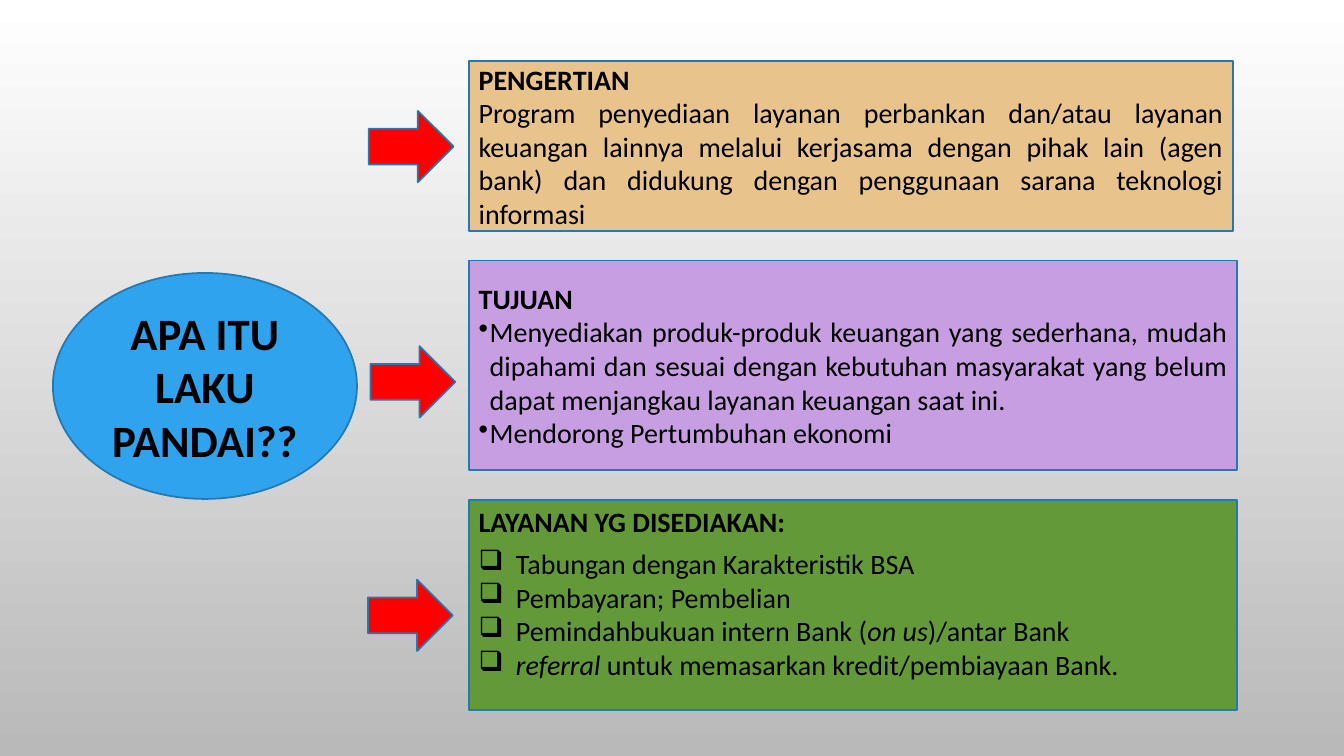
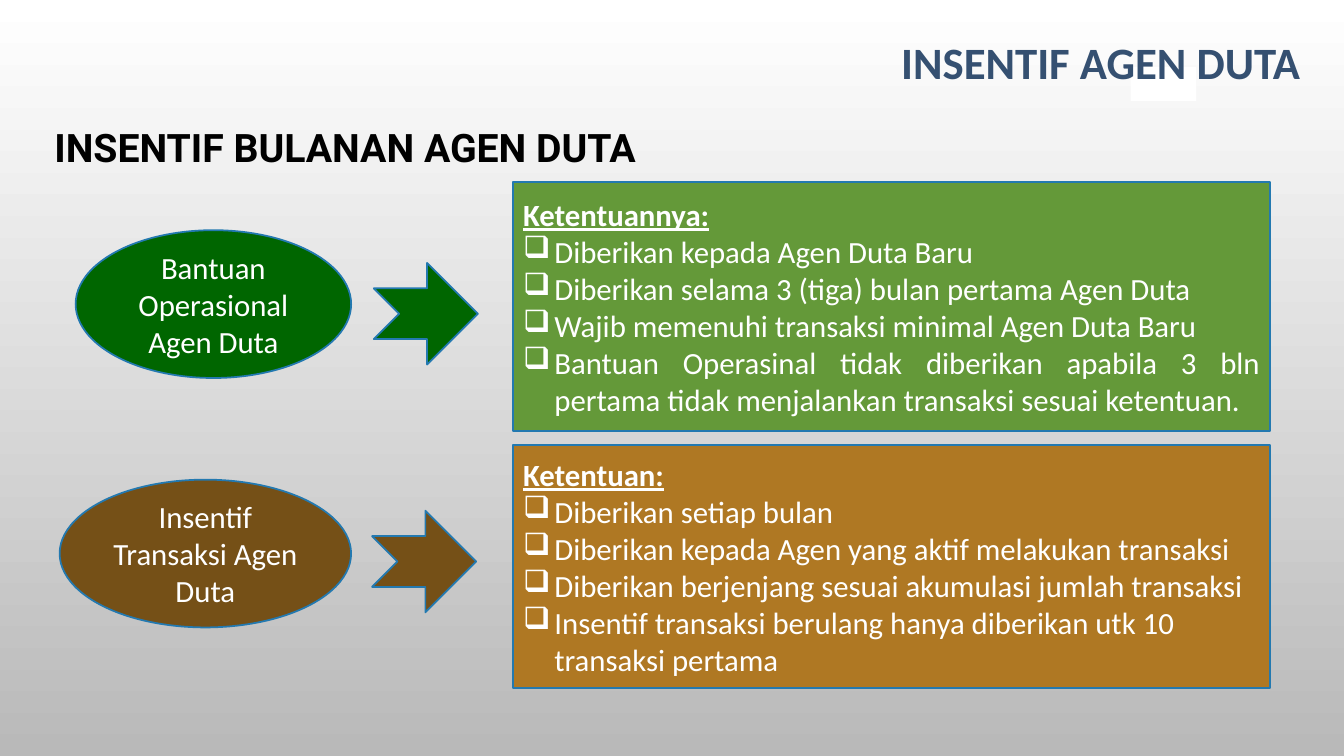
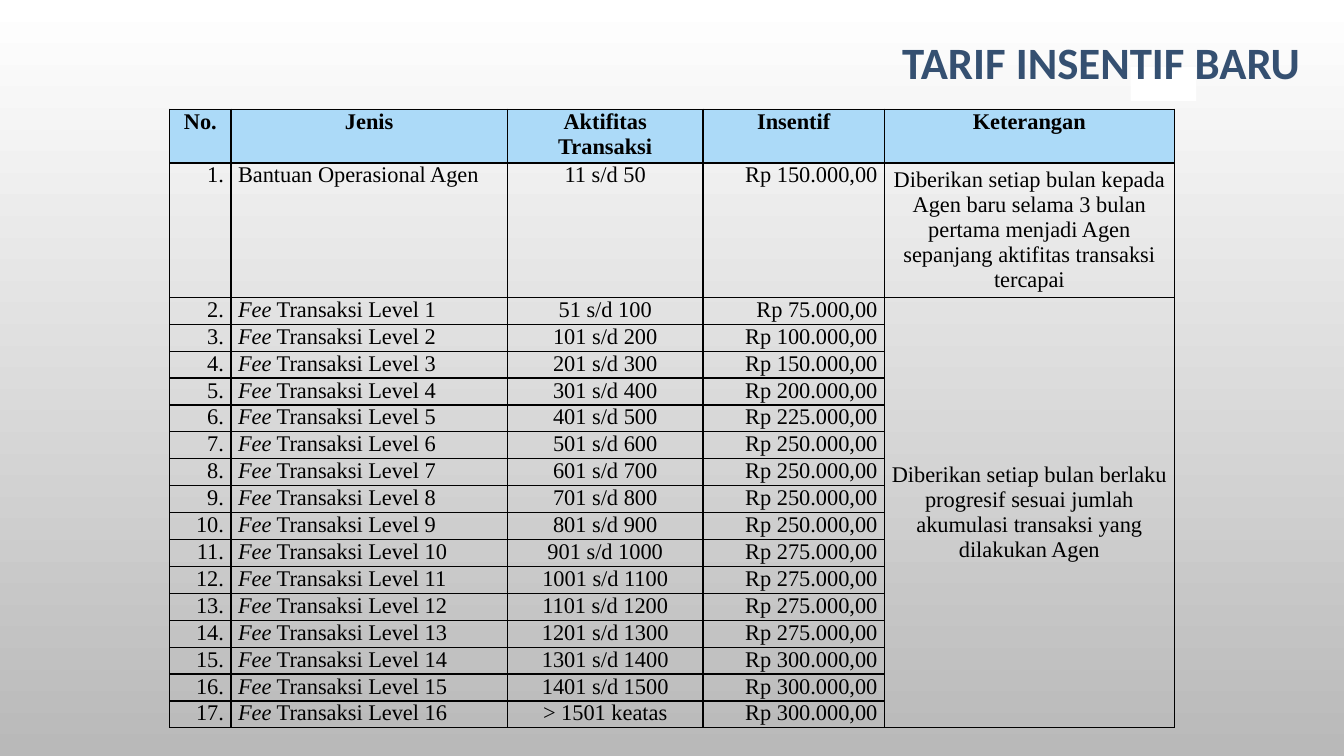
from dataclasses import dataclass
from typing import NamedTuple

import lxml.etree
import pptx
import pptx.dml.color
import pptx.enum.shapes
import pptx.enum.text
import pptx.oxml.ns
import pptx.presentation
import pptx.shapes.autoshape
import pptx.slide
import pptx.table
import pptx.text.text
import pptx.util

SLIDE_WIDTH = pptx.util.Inches(13.33)
SLIDE_HEIGHT = pptx.util.Inches(7.5)
COLUMNS, ROWS = 160, 90

COLORS = {
    "white": "FFFFFF",
    "black": "000000",
    "backdrop": "B9B9B9",
    "title": "355071",
    "outline": "2379B0",
    "blue": "2FA3EE",
    "purple": "C89EE3",
    "sand": "E8C48C",
    "grass": "649939",
    "red": "FF0000",
    "forest": "006600",
    "brown": "755017",
    "ochre": "AF7823",
    "header": "ACDAF8",
}

Shape = pptx.enum.shapes.MSO_SHAPE
Align = pptx.enum.text.PP_ALIGN
Anchor = pptx.enum.text.MSO_ANCHOR


class Box(NamedTuple):
    """A place on the slide, in grid columns and rows."""

    left: float
    top: float
    width: float
    height: float

    def lengths(self) -> tuple[int, int, int, int]:
        return across(self.left), down(self.top), across(self.width), down(self.height)


class Bullet(NamedTuple):
    character: str
    indent: float


DOT = Bullet("•", 0.11)
SMALL_CHECKBOX = Bullet("❑", 0.31)
WIDE_CHECKBOX = Bullet("❑", 0.37)


@dataclass(frozen=True)
class Style:
    size: float
    color: str = "black"
    font: str = "Calibri"


@dataclass(frozen=True)
class Line:
    """One paragraph; words between underscores are italic."""

    text: str
    align: Align = Align.LEFT
    bold: bool = False
    underline: bool = False
    bullet: Bullet | None = None
    space_before: float = 0
    spacing: float = 1


@dataclass(frozen=True)
class Figure:
    kind: Shape
    box: Box
    fill: str
    style: Style = Style(20)
    lines: tuple[Line, ...] = ()
    anchor: Anchor = Anchor.MIDDLE


TITLE_STYLE = Style(32, "title")
TABLE_STYLE = Style(16, font="Times New Roman")
WHITE_STYLE = Style(22, "white")

PANEL_LEFT, PANEL_WIDTH = 55.8, 91.5
RULES_LEFT, RULES_WIDTH = 61.1, 90.1


def bullets(
    bullet: Bullet, *texts: str, align: Align = Align.LEFT, gap: float = 0
) -> tuple[Line, ...]:
    return tuple(
        Line(text, align, bullet=bullet, space_before=0 if index else gap)
        for index, text in enumerate(texts)
    )


def red_arrow(left: float, top: float) -> Figure:
    return Figure(Shape.RIGHT_ARROW, Box(left, top, 10.1, 8.5), "red")


def notched_arrow(left: float, top: float, fill: str) -> Figure:
    return Figure(Shape.NOTCHED_RIGHT_ARROW, Box(left, top, 12.4, 12.1), fill)


def topic(box: Box, fill: str, text: str, style: Style = WHITE_STYLE) -> Figure:
    line = Line(text, Align.CENTER, bold=style.size > WHITE_STYLE.size)
    return Figure(Shape.OVAL, box, fill, style, (line,))


def rules(
    top: float, height: float, fill: str, heading: str, lines: tuple[Line, ...]
) -> Figure:
    box = Box(RULES_LEFT, top, RULES_WIDTH, height)
    first = Line(heading, bold=True, underline=True)
    return Figure(Shape.FLOWCHART_PROCESS, box, fill, WHITE_STYLE, (first, *lines))


OVERVIEW = (
    topic(Box(6.3, 32.5, 36.2, 26.9), "blue", "APA ITU LAKU PANDAI??", Style(32)),
    Figure(
        Shape.RECTANGLE,
        Box(PANEL_LEFT, 31, PANEL_WIDTH, 25),
        "purple",
        lines=(
            Line("TUJUAN", bold=True),
            *bullets(
                DOT,
                "Menyediakan produk-produk keuangan yang sederhana, mudah dipahami "
                "dan sesuai dengan kebutuhan masyarakat yang belum dapat menjangkau "
                "layanan keuangan saat ini.",
                "Mendorong Pertumbuhan ekonomi",
                align=Align.JUSTIFY,
            ),
        ),
    ),
    Figure(
        Shape.RECTANGLE,
        Box(PANEL_LEFT, 7.3, 91, 20.2),
        "sand",
        lines=(
            Line("PENGERTIAN", bold=True),
            Line(
                "Program penyediaan layanan perbankan dan/atau layanan keuangan "
                "lainnya melalui kerjasama dengan pihak lain (agen bank) dan didukung "
                "dengan penggunaan sarana teknologi informasi",
                Align.JUSTIFY,
            ),
        ),
    ),
    Figure(
        Shape.RECTANGLE,
        Box(PANEL_LEFT, 59.5, PANEL_WIDTH, 25),
        "grass",
        lines=(
            Line("LAYANAN YG DISEDIAKAN:", bold=True),
            *bullets(
                WIDE_CHECKBOX,
                "Tabungan dengan Karakteristik BSA",
                "Pembayaran; Pembelian",
                "Pemindahbukuan intern Bank (_on us_)/antar Bank",
                "_referral_ untuk memasarkan kredit/pembiayaan Bank.",
                gap=6,
            ),
        ),
        anchor=Anchor.TOP,
    ),
    red_arrow(44.1, 41.2),
    red_arrow(43.9, 13.2),
    red_arrow(43.8, 69),
)

INCENTIVES = (
    topic(Box(9, 27.4, 32.8, 17.6), "forest", "Bantuan Operasional Agen Duta"),
    topic(Box(7.1, 57.1, 34.7, 17.6), "brown", "Insentif Transaksi Agen Duta"),
    rules(
        21.7,
        29.6,
        "grass",
        "Ketentuannya:",
        bullets(
            SMALL_CHECKBOX,
            "Diberikan kepada Agen Duta Baru",
            "Diberikan selama 3 (tiga) bulan pertama Agen Duta",
            "Wajib memenuhi transaksi minimal Agen Duta Baru",
            "Bantuan Operasinal tidak diberikan apabila 3 bln pertama tidak "
            "menjalankan transaksi sesuai ketentuan.",
            align=Align.JUSTIFY,
        ),
    ),
    rules(
        53,
        28.9,
        "ochre",
        "Ketentuan:",
        bullets(
            SMALL_CHECKBOX,
            "Diberikan setiap bulan",
            "Diberikan kepada Agen yang aktif melakukan transaksi",
            "Diberikan berjenjang sesuai akumulasi jumlah transaksi",
            "Insentif transaksi berulang hanya diberikan utk 10 transaksi pertama",
        ),
    ),
    notched_arrow(44.5, 31.3, "forest"),
    notched_arrow(44.3, 60.8, "brown"),
)

TABLE_COLUMNS = (7.3, 32.9, 23.3, 21.6, 34.5)
COLUMN_ALIGNS = (Align.RIGHT, Align.LEFT, Align.CENTER, Align.RIGHT, Align.CENTER)
HEADER = ("No.", "Jenis", "Aktifitas Transaksi", "Insentif", "Keterangan")
LEVEL_FEES = (75, 100, 150, 200, 225, *[250] * 4, *[275] * 4, *[300] * 3)
TABLE_ROWS = (6.2, 15.5, *[3.12] * len(LEVEL_FEES))
NEW_AGENT_NOTE = (
    "Diberikan setiap bulan kepada Agen baru selama 3 bulan pertama menjadi Agen "
    "sepanjang aktifitas transaksi tercapai"
)
LEVEL_NOTE = (
    "Diberikan setiap bulan berlaku progresif sesuai jumlah akumulasi transaksi "
    "yang dilakukan Agen"
)


def across(columns: float) -> int:
    return round(SLIDE_WIDTH * columns / COLUMNS)


def down(rows: float) -> int:
    return round(SLIDE_HEIGHT * rows / ROWS)


def rgb(name: str) -> pptx.dml.color.RGBColor:
    return pptx.dml.color.RGBColor.from_string(COLORS[name])


def add_bullet(paragraph: pptx.text.text._Paragraph, bullet: Bullet) -> None:
    properties = paragraph._p.get_or_add_pPr()
    indent = pptx.util.Inches(bullet.indent)
    properties.set("marL", str(indent))
    properties.set("indent", str(-indent))
    mark = lxml.etree.SubElement(properties, pptx.oxml.ns.qn("a:buChar"))
    mark.set("char", bullet.character)


def write_line(
    paragraph: pptx.text.text._Paragraph, line: Line, style: Style
) -> None:
    if line.bullet:
        add_bullet(paragraph, line.bullet)
    paragraph.alignment = line.align
    if line.space_before:
        paragraph.space_before = pptx.util.Pt(line.space_before)
    if line.spacing != 1:
        paragraph.line_spacing = line.spacing
    font = paragraph.font
    font.name = style.font
    font.size = pptx.util.Pt(style.size)
    font.color.rgb = rgb(style.color)
    font.bold = line.bold
    font.underline = line.underline
    for index, part in enumerate(line.text.split("_")):
        if part:
            run = paragraph.add_run()
            run.text = part
            if index % 2:
                run.font.italic = True


def write_lines(
    frame: pptx.text.text.TextFrame, lines: tuple[Line, ...], style: Style
) -> None:
    for index, line in enumerate(lines):
        paragraph = frame.add_paragraph() if index else frame.paragraphs[0]
        write_line(paragraph, line, style)


def add_block(
    slide: pptx.slide.Slide, kind: Shape, box: Box, fill: str
) -> pptx.shapes.autoshape.Shape:
    """Add a filled shape without outline or shadow."""
    shape = slide.shapes.add_shape(kind, *box.lengths())
    shape.shadow.inherit = False
    shape.fill.solid()
    shape.fill.fore_color.rgb = rgb(fill)
    shape.line.fill.background()
    return shape


def add_figure(slide: pptx.slide.Slide, figure: Figure) -> None:
    shape = add_block(slide, figure.kind, figure.box, figure.fill)
    shape.line.color.rgb = rgb("outline")
    shape.line.width = pptx.util.Pt(1.25)
    shape.text_frame.vertical_anchor = figure.anchor
    write_lines(shape.text_frame, figure.lines, figure.style)


def add_text(
    slide: pptx.slide.Slide, box: Box, line: Line, style: Style, anchor: Anchor
) -> None:
    frame = slide.shapes.add_textbox(*box.lengths()).text_frame
    frame.word_wrap = True
    frame.vertical_anchor = anchor
    write_line(frame.paragraphs[0], line, style)


def add_slide(presentation: pptx.presentation.Presentation) -> pptx.slide.Slide:
    return presentation.slides.add_slide(presentation.slide_layouts[6])


def add_titled_slide(
    presentation: pptx.presentation.Presentation, title: str, title_width: float
) -> pptx.slide.Slide:
    """Add a slide with the white patch and a title ending at column 156."""
    slide = add_slide(presentation)
    add_block(slide, Shape.RECTANGLE, Box(134.6, 8, 7.8, 4), "white")
    box = Box(156 - title_width, 2.5, title_width, 10.4)
    line = Line(title, Align.RIGHT, bold=True, spacing=0.9)
    add_text(slide, box, line, TITLE_STYLE, Anchor.MIDDLE)
    return slide


def add_borders(cell: pptx.table._Cell) -> None:
    properties = cell._tc.get_or_add_tcPr()
    for index, side in enumerate(("a:lnL", "a:lnR", "a:lnT", "a:lnB")):
        border = lxml.etree.Element(pptx.oxml.ns.qn(side), w=str(pptx.util.Pt(1)))
        fill = lxml.etree.SubElement(border, pptx.oxml.ns.qn("a:solidFill"))
        color = lxml.etree.SubElement(fill, pptx.oxml.ns.qn("a:srgbClr"))
        color.set("val", COLORS["black"])
        properties.insert(index, border)


def fill_cell(cell: pptx.table._Cell, line: Line, is_header: bool) -> None:
    cell.margin_left = cell.margin_right = pptx.util.Inches(0.07)
    cell.margin_top = cell.margin_bottom = 0
    if is_header:
        cell.fill.solid()
        cell.fill.fore_color.rgb = rgb("header")
    else:
        cell.fill.background()
    add_borders(cell)
    write_line(cell.text_frame.paragraphs[0], line, TABLE_STYLE)


def tariff_rows() -> list[tuple[str, ...]]:
    rows = [
        HEADER,
        ("1.", "Bantuan Operasional Agen", "11 s/d 50", "Rp 150.000,00", NEW_AGENT_NOTE),
    ]
    last = len(LEVEL_FEES)
    for level, fee in enumerate(LEVEL_FEES, start=1):
        start = 51 if level == 1 else 100 * (level - 1) + 1
        activity = f"> {start} keatas" if level == last else f"{start} s/d {100 * level}"
        note = LEVEL_NOTE if level == 1 else ""
        kind = f"_Fee_ Transaksi Level {level}"
        rows.append((f"{level + 1}.", kind, activity, f"Rp {fee}.000,00", note))
    return rows


def add_tariff_table(slide: pptx.slide.Slide) -> None:
    rows = tariff_rows()
    box = Box(20.2, 13, sum(TABLE_COLUMNS), sum(TABLE_ROWS))
    table = slide.shapes.add_table(len(rows), len(HEADER), *box.lengths()).table
    table.first_row = table.horz_banding = False
    for column, width in zip(table.columns, TABLE_COLUMNS):
        column.width = across(width)
    for row, height in zip(table.rows, TABLE_ROWS):
        row.height = down(height)
    for row_index, texts in enumerate(rows):
        is_header = row_index == 0
        for column_index, text in enumerate(texts):
            align = Align.CENTER if is_header else COLUMN_ALIGNS[column_index]
            cell = table.cell(row_index, column_index)
            fill_cell(cell, Line(text, align, bold=is_header), is_header)
    note_column = len(HEADER) - 1
    for row_index in (1, 2):
        table.cell(row_index, note_column).vertical_anchor = Anchor.MIDDLE
    table.cell(2, note_column).merge(table.cell(len(rows) - 1, note_column))


def set_background(presentation: pptx.presentation.Presentation) -> None:
    fill = presentation.slide_master.background.fill
    fill.gradient()
    fill.gradient_angle = 270
    for stop, color in zip(fill.gradient_stops, ("white", "backdrop")):
        stop.color.rgb = rgb(color)


def main() -> None:
    presentation = pptx.Presentation()
    presentation.slide_width = SLIDE_WIDTH
    presentation.slide_height = SLIDE_HEIGHT
    set_background(presentation)

    overview = add_slide(presentation)
    for figure in OVERVIEW:
        add_figure(overview, figure)

    incentives = add_titled_slide(presentation, "INSENTIF AGEN DUTA", 55.2)
    subtitle = Line("INSENTIF BULANAN AGEN DUTA", bold=True, spacing=1.2)
    subtitle_box = Box(5.3, 13, 150.7, 65)
    add_text(incentives, subtitle_box, subtitle, Style(28, font="Roboto"), Anchor.TOP)
    for figure in INCENTIVES:
        add_figure(incentives, figure)

    tariff = add_titled_slide(presentation, "TARIF INSENTIF BARU", 98.5)
    add_tariff_table(tariff)

    presentation.save("out.pptx")


if __name__ == "__main__":
    main()
